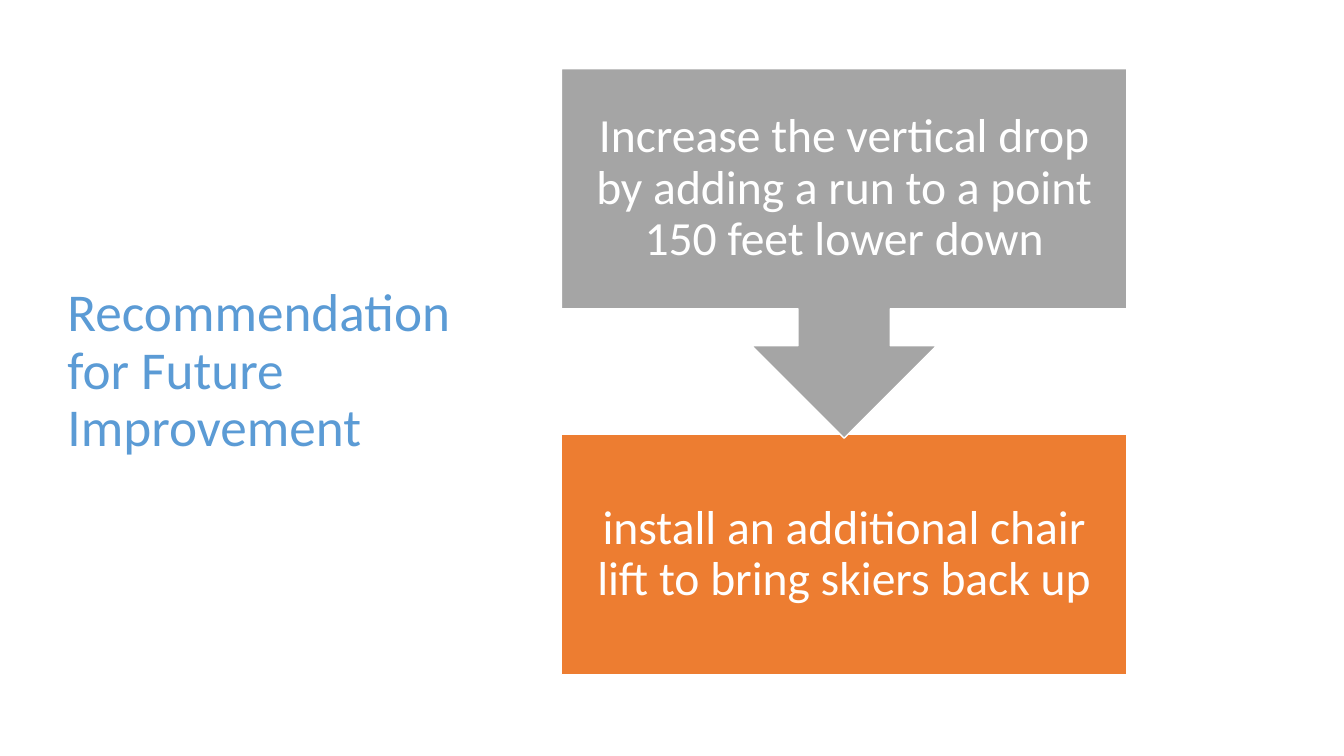
from collections import namedtuple
from dataclasses import dataclass

from pptx import Presentation
from pptx.dml.color import RGBColor
from pptx.enum.shapes import MSO_SHAPE
from pptx.enum.text import MSO_ANCHOR, MSO_AUTO_SIZE, PP_ALIGN
from pptx.util import Pt

RECTANGLE = MSO_SHAPE.RECTANGLE
DOWN_CALLOUT = MSO_SHAPE.DOWN_ARROW_CALLOUT
MIDDLE = MSO_ANCHOR.MIDDLE
NO_AUTOFIT = MSO_AUTO_SIZE.NONE
LEFT, CENTER = PP_ALIGN.LEFT, PP_ALIGN.CENTER
TITLE_ONLY = 5

Box = namedtuple("Box", "left top width height")


@dataclass(frozen=True)
class Theme:
    font: str = "Calibri"
    title_size: float = 38
    step_size: float = 34
    line_spacing: float = 0.9
    title: RGBColor = RGBColor(0x5B, 0x9B, 0xD5)
    first_step: RGBColor = RGBColor(0xA5, 0xA5, 0xA5)
    last_step: RGBColor = RGBColor(0xED, 0x7D, 0x31)
    white: RGBColor = RGBColor(0xFF, 0xFF, 0xFF)


THEME = Theme()


def set_text(shape, text, size, color, alignment):
    frame = shape.text_frame
    frame.text = text
    frame.word_wrap = True
    frame.auto_size = NO_AUTOFIT
    frame.vertical_anchor = MIDDLE
    para = frame.paragraphs[0]
    para.alignment = alignment
    para.line_spacing = THEME.line_spacing
    para.font.name = THEME.font
    para.font.size = Pt(size)
    para.font.color.rgb = color


def add_title(page, box, text):
    title = page.shapes.title
    title.left, title.top, title.width, title.height = map(Pt, box)
    set_text(title, text, THEME.title_size, THEME.title, LEFT)


def add_step(page, kind, box, text, color):
    step = page.shapes.add_shape(kind, *map(Pt, box))
    step.shadow.inherit = False
    step.fill.solid()
    step.fill.fore_color.rgb = color
    step.line.color.rgb = THEME.white
    step.line.width = Pt(1)
    set_text(step, text, THEME.step_size, THEME.white, CENTER)
    frame = step.text_frame
    frame.margin_left = frame.margin_right = Pt(18.7)
    frame.margin_top = frame.margin_bottom = Pt(18.7)
    return step


def add_process(page, box, first_text, last_text):
    """Stack two equal cards; the upper one's arrow just overlaps the lower."""
    card_height = 171.6
    callout_height = 264
    last_top = box.top + box.height - card_height
    add_step(page, RECTANGLE, Box(box.left, last_top, box.width, card_height),
             last_text, THEME.last_step)
    callout = add_step(page, DOWN_CALLOUT,
                       Box(box.left, box.top, box.width, callout_height),
                       first_text, THEME.first_step)
    callout.adjustments[3] = card_height / callout_height


def main():
    deck = Presentation()
    deck.slide_width, deck.slide_height = Pt(960), Pt(540)
    page = deck.slides.add_slide(deck.slide_layouts[TITLE_ONLY])
    add_title(page, Box(41, 49, 299.5, 433.5),
              "Recommendation for Future Improvement")
    add_process(page, Box(401, 49, 404, 433),
                "Increase the vertical drop by adding a run to a point "
                "150 feet lower down",
                "install an additional chair lift to bring skiers back up")
    deck.save("out.pptx")


if __name__ == "__main__":
    main()
